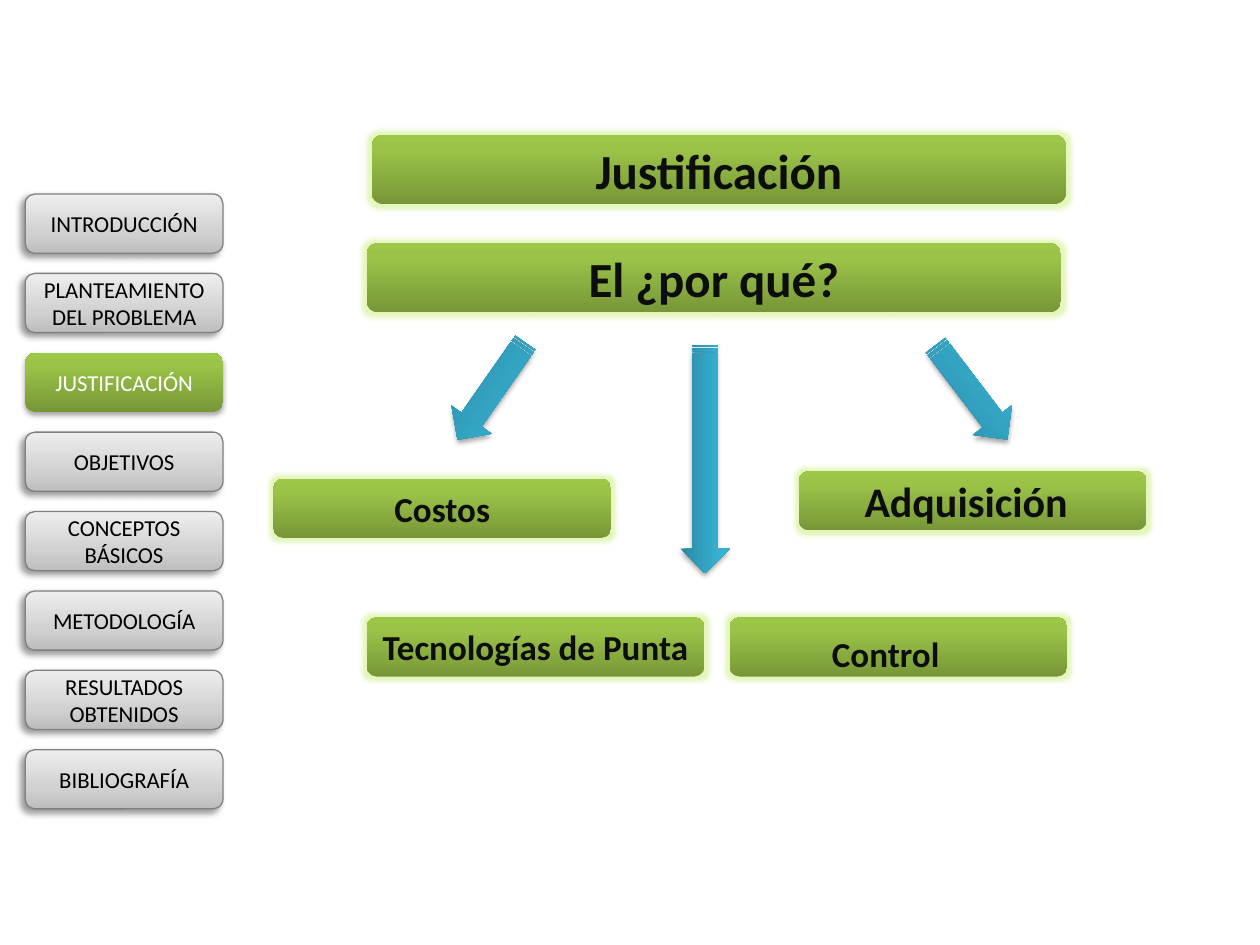
import lxml.etree
import pptx
import pptx.dml.color
import pptx.enum.shapes
import pptx.enum.text
import pptx.oxml.ns
import pptx.util

RGBColor = pptx.dml.color.RGBColor
SHAPE = pptx.enum.shapes.MSO_SHAPE

BLACK = RGBColor(0x00, 0x00, 0x00)
WHITE = RGBColor(0xFF, 0xFF, 0xFF)
INK = RGBColor(0x0D, 0x0D, 0x0D)
OUTLINE = RGBColor(0x80, 0x80, 0x80)
GLOW = RGBColor(0xC4, 0xEC, 0x6C)

# Gradient stops run from the bottom of a shape to its top: (percent, colour).
GRAY = [(0, RGBColor(0xBD, 0xBD, 0xBD)), (35, RGBColor(0xD1, 0xD1, 0xD1)),
        (100, RGBColor(0xEE, 0xEE, 0xEE))]
GREEN = [(0, RGBColor(0x77, 0x97, 0x37)), (80, RGBColor(0x9B, 0xC3, 0x48)),
         (100, RGBColor(0x9D, 0xC7, 0x46))]
BLUE = [(0, RGBColor(0x2A, 0x88, 0xA2)), (80, RGBColor(0x37, 0xB1, 0xD2)),
        (100, RGBColor(0x34, 0xB4, 0xD6))]

# The slide is a grid of 100 columns by 75 rows.
COLUMNS, ROWS = 100, 75
CELL = pptx.util.Inches(0.1)
FONT = "Calibri"

SECTIONS = ["INTRODUCCIÓN", "PLANTEAMIENTO DEL PROBLEMA", "JUSTIFICACIÓN", "OBJETIVOS",
            "CONCEPTOS BÁSICOS", "METODOLOGÍA", "RESULTADOS OBTENIDOS", "BIBLIOGRAFÍA"]
CURRENT_SECTION = "JUSTIFICACIÓN"
MENU_TOP, MENU_PITCH = 15.4, 6.3

TITLE_BOX = (29.5, 10.7, 55.1, 5.5)
QUESTION_BOX = (29.1, 19.3, 55.1, 5.5)
# text, box, size, extra right inset, extra top inset
REASONS = [
    ("Costos", (21.7, 38, 26.8, 4.7), 20, 0, 0),
    ("Adquisición", (63.4, 37.4, 27.6, 4.7), 24, 1, 0),
    ("Tecnologías de Punta", (29.1, 49, 26.8, 4.7), 20, 0, 0),
    ("Control", (57.9, 49, 26.8, 4.7), 20, 2, 1),
]
# box before rotation, clockwise degrees
ARROWS = [
    ((72.4, 29.2, 9.4, 3.9), 52.7),
    ((34.3, 29.1, 9.4, 3.9), 124.9),
    ((46.9, 34.5, 18.1, 3.9), 90),
]


def cells(count):
    return round(count * CELL)


def add_child(parent, tag, **attributes):
    child = lxml.etree.SubElement(parent, pptx.oxml.ns.qn(tag))
    for name, value in attributes.items():
        child.set(name, str(value))
    return child


def add_color(parent, color, alpha=100):
    node = add_child(parent, "a:srgbClr", val=color)
    if alpha < 100:
        add_child(node, "a:alpha", val=alpha * 1000)


def set_gradient(shape, stops):
    shape.fill.gradient()
    shape.fill.gradient_angle = 90
    stop_list = shape.fill._xPr.find(".//" + pptx.oxml.ns.qn("a:gsLst"))
    for old_stop in list(stop_list):
        stop_list.remove(old_stop)
    for percent, color in stops:
        add_color(add_child(stop_list, "a:gs", pos=percent * 1000), color)


def effect_list(shape):
    return shape._element.spPr.find(pptx.oxml.ns.qn("a:effectLst"))


def add_shadow(shape, alpha, blur, distance, direction):
    node = add_child(effect_list(shape), "a:outerShdw",
                     blurRad=pptx.util.Pt(blur), dist=pptx.util.Pt(distance),
                     dir=direction * 60000, algn="ctr", rotWithShape=0)
    add_color(node, BLACK, alpha)


def add_soft_shadow(shape):
    add_shadow(shape, 35, 3.1, 1.8, 90)


def add_glow(shape):
    node = add_child(effect_list(shape), "a:glow", rad=pptx.util.Pt(5))
    add_color(node, GLOW, 45)


def add_gradient_shape(slide, kind, box, stops):
    shape = slide.shapes.add_shape(kind, *map(cells, box))
    set_gradient(shape, stops)
    shape.line.fill.background()
    shape.shadow.inherit = False
    return shape


def set_text(shape, text, size, color, bold=False):
    frame = shape.text_frame
    frame.text = text
    frame.word_wrap = True
    frame.auto_size = pptx.enum.text.MSO_AUTO_SIZE.NONE
    frame.vertical_anchor = pptx.enum.text.MSO_ANCHOR.MIDDLE
    paragraph = frame.paragraphs[0]
    paragraph.alignment = pptx.enum.text.PP_ALIGN.CENTER
    paragraph.font.name = FONT
    paragraph.font.size = pptx.util.Pt(size)
    paragraph.font.bold = bold
    paragraph.font.color.rgb = color


def add_menu(slide):
    for index, section in enumerate(SECTIONS):
        current = section == CURRENT_SECTION
        box = (2, MENU_TOP + index * MENU_PITCH, 15.7, 4.7)
        button = add_gradient_shape(slide, SHAPE.ROUNDED_RECTANGLE, box,
                                    GREEN if current else GRAY)
        if current:
            add_soft_shadow(button)
        else:
            button.line.color.rgb = OUTLINE
            button.line.width = pptx.util.Pt(0.75)
            add_shadow(button, 40, 4, 3, 135)
        set_text(button, section, 13, WHITE if current else BLACK)


def add_bar(slide, box):
    bar = add_gradient_shape(slide, SHAPE.ROUNDED_RECTANGLE, box, GREEN)
    add_glow(bar)
    return bar


def add_title(slide, text):
    """Lay the title placeholder over a glowing bar."""
    add_bar(slide, TITLE_BOX)
    title = slide.shapes.title
    title.left, title.top, title.width, title.height = map(cells, TITLE_BOX)
    set_text(title, text, 28, INK, bold=True)
    slide.shapes._spTree.append(title._element)


def add_reason(slide, text, box, size, right_inset, top_inset):
    bar = add_bar(slide, box)
    set_text(bar, text, size, INK, bold=True)
    bar.text_frame.margin_right += cells(right_inset)
    bar.text_frame.margin_top += cells(top_inset)


def add_arrow(slide, box, rotation):
    arrow = add_gradient_shape(slide, SHAPE.STRIPED_RIGHT_ARROW, box, BLUE)
    arrow.rotation = rotation
    add_soft_shadow(arrow)


def main():
    presentation = pptx.Presentation()
    presentation.slide_width = cells(COLUMNS)
    presentation.slide_height = cells(ROWS)
    slide = presentation.slides.add_slide(presentation.slide_layouts[5])

    add_menu(slide)
    set_text(add_bar(slide, QUESTION_BOX), "El ¿por qué?", 28, INK, bold=True)
    for reason in REASONS:
        add_reason(slide, *reason)
    for box, rotation in ARROWS:
        add_arrow(slide, box, rotation)
    add_title(slide, "Justificación")

    presentation.save("out.pptx")


if __name__ == "__main__":
    main()
